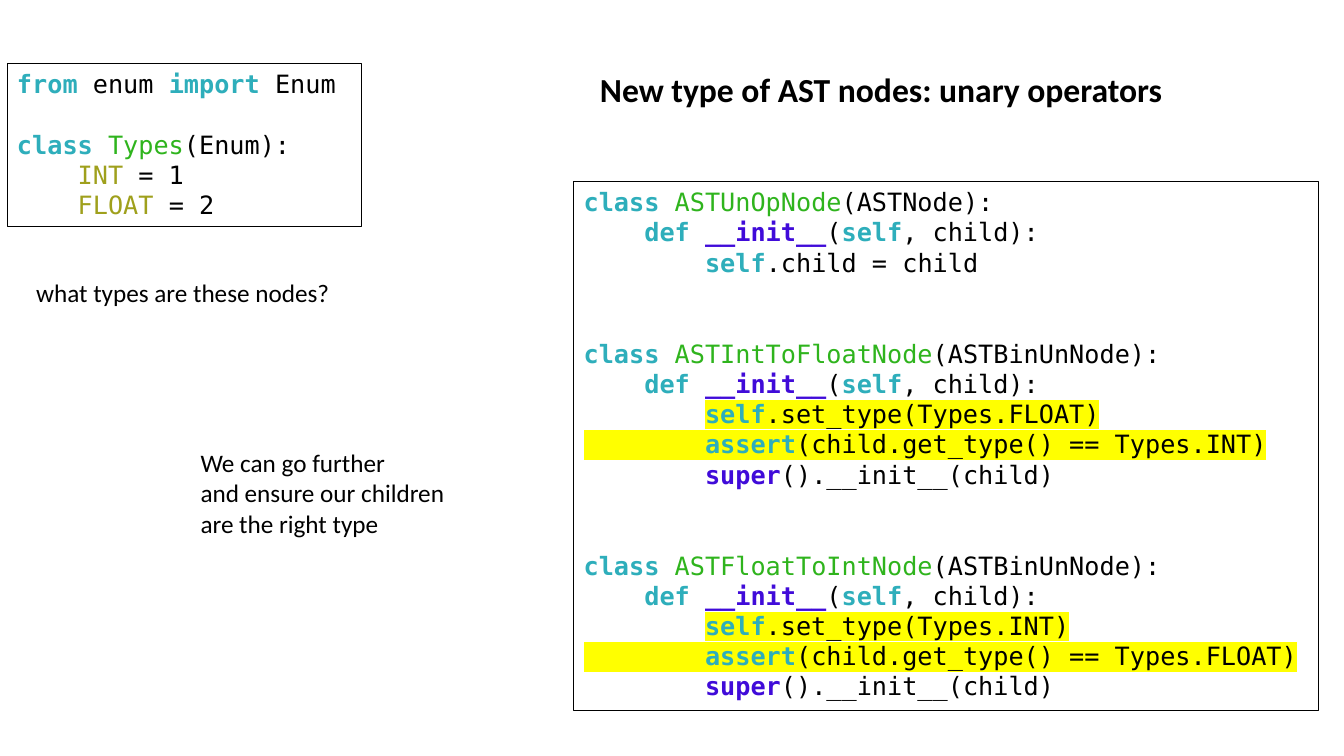
"""Build a slide on AST nodes for unary operators with typed children."""
from dataclasses import dataclass

from lxml import etree
from pptx import Presentation
from pptx.dml.color import RGBColor
from pptx.enum.shapes import MSO_SHAPE
from pptx.enum.text import MSO_ANCHOR, MSO_AUTO_SIZE, PP_ALIGN
from pptx.oxml.ns import qn
from pptx.slide import Slide
from pptx.util import Inches, Pt

RECTANGLE = MSO_SHAPE.RECTANGLE
TOP = MSO_ANCHOR.TOP
GROW = MSO_AUTO_SIZE.SHAPE_TO_FIT_TEXT
LEFT = PP_ALIGN.LEFT
TITLE_ONLY = 5


@dataclass(frozen=True)
class Theme:
    """Colours, fonts and sizes of the slide."""
    text: str = "000000"
    keyword: str = "2EAEBB"
    class_name: str = "2FB41D"
    builtin: str = "400BD9"
    constant: str = "9FA01C"
    marker: str = "FFFF00"
    prose_font: str = "Calibri"
    code_font: str = "DejaVu Sans Mono"
    title_size: float = 24
    body_size: float = 18
    blank_line: float = 21.7
    border: float = 0.75


THEME = Theme()


def add_text(paragraph, text, *, font=THEME.prose_font, size=THEME.body_size,
             color=THEME.text, bold=False, marker=None):
    """Append one formatted run to a paragraph."""
    run = paragraph.add_run()
    run.text = text
    run.font.name = font
    run.font.size = Pt(size)
    run.font.bold = bold
    run.font.color.rgb = RGBColor.from_string(color)
    if marker:
        highlight = etree.Element(qn("a:highlight"))
        etree.SubElement(highlight, qn("a:srgbClr"), val=marker)
        run.font.fill
        properties = run.font.color.rgb and run._r.get_or_add_rPr()
        properties.find(qn("a:solidFill")).addnext(highlight)


def keyword(text, **extra):
    """Return a bold keyword token."""
    return text, dict(color=THEME.keyword, bold=True, **extra)


def builtin(text):
    """Return a bold built-in name token."""
    return text, dict(color=THEME.builtin, bold=True)


def plain(text, **extra):
    """Return a plain code token."""
    return text, extra


def class_line(name, base):
    """Return the tokens of a class header."""
    return [keyword("class "), (name, dict(color=THEME.class_name)), plain(f"({base}):")]


def member_line(name, value):
    """Return the tokens of an enum member."""
    return [plain("    "), (name, dict(color=THEME.constant)), plain(f" = {value}")]


def init_line():
    """Return the tokens of a constructor header."""
    return [keyword("    def "), builtin("__init__"), plain("("),
            keyword("self"), plain(", child):")]


def conversion_class(name, own_type, child_type):
    """Return the lines of a node class that converts its child's type."""
    marked = dict(marker=THEME.marker)
    return [
        class_line(name, "ASTBinUnNode"),
        init_line(),
        [plain(" " * 8), keyword("self", **marked),
         plain(f".set_type(Types.{own_type})", **marked)],
        [plain(" " * 8, **marked), keyword("assert", **marked),
         plain(f"(child.get_type() == Types.{child_type})", **marked)],
        [builtin("        super"), plain("().__init__(child)")],
    ]


@dataclass
class SlideBuilder:
    """Draw each kind of element on the current slide."""
    theme: Theme
    slide: Slide

    def write_lines(self, frame, lines, wrap=False, **style):
        """Fill a text frame with left-aligned lines."""
        frame.word_wrap = wrap
        frame.auto_size = GROW
        frame.vertical_anchor = TOP
        for index, line in enumerate(lines):
            paragraph = frame.add_paragraph() if index else frame.paragraphs[0]
            paragraph.alignment = LEFT
            add_text(paragraph, line, **style)

    def title(self, text, left, top, width, height):
        """Place and format the title."""
        heading = self.slide.shapes.title
        heading.left, heading.top = Inches(left), Inches(top)
        heading.width, heading.height = Inches(width), Inches(height)
        self.write_lines(heading.text_frame, [text], size=self.theme.title_size, bold=True)

    def note(self, lines, left, top, width, height):
        """Add a prose remark."""
        remark = self.slide.shapes.add_textbox(
            Inches(left), Inches(top), Inches(width), Inches(height))
        self.write_lines(remark.text_frame, lines)

    def code(self, blocks, gap_lines, left, top, width, height):
        """Add a bordered listing with blank lines between its blocks."""
        listing = self.slide.shapes.add_shape(
            RECTANGLE, Inches(left), Inches(top), Inches(width), Inches(height))
        listing.shadow.inherit = False
        listing.fill.background()
        listing.line.color.rgb = RGBColor.from_string(self.theme.text)
        listing.line.width = Pt(self.theme.border)
        frame = listing.text_frame
        frame.word_wrap = True
        frame.auto_size = GROW
        frame.vertical_anchor = TOP
        paragraph = frame.paragraphs[0]
        for block_index, block in enumerate(blocks):
            for line_index, tokens in enumerate(block):
                if block_index or line_index:
                    paragraph = frame.add_paragraph()
                paragraph.alignment = LEFT
                if block_index and not line_index:
                    paragraph.space_before = Pt(gap_lines * self.theme.blank_line)
                for text, style in tokens:
                    add_text(paragraph, text, font=self.theme.code_font, **style)


def main():
    """Build and save the slide."""
    deck = Presentation()
    deck.slide_width, deck.slide_height = Inches(13.33), Inches(7.5)
    builder = SlideBuilder(THEME, deck.slides.add_slide(deck.slide_layouts[TITLE_ONLY]))

    builder.title("New type of AST nodes: unary operators", 5.85, 0.63, 5.83, 0.5)
    enum_import = [[keyword("from "), plain("enum "), keyword("import"), plain(" Enum")]]
    types_class = [class_line("Types", "Enum"),
                   member_line("INT", 1), member_line("FLOAT", 2)]
    builder.code([enum_import, types_class], 1, 0.07, 0.63, 3.52, 1.62)
    builder.note(["what types are these nodes?"], 0.26, 2.7, 3.15, 0.4)

    unary_class = [class_line("ASTUnOpNode", "ASTNode"), init_line(),
                   [keyword("        self"), plain(".child = child")]]
    builder.code([unary_class,
                  conversion_class("ASTIntToFloatNode", "FLOAT", "INT"),
                  conversion_class("ASTFloatToIntNode", "INT", "FLOAT")],
                 2, 5.69, 1.8, 7.39, 5.25)
    builder.note(["We can go further", "and ensure our children", "are the right type"],
                 1.89, 4.39, 2.65, 1.01)
    deck.save("out.pptx")


if __name__ == "__main__":
    main()
